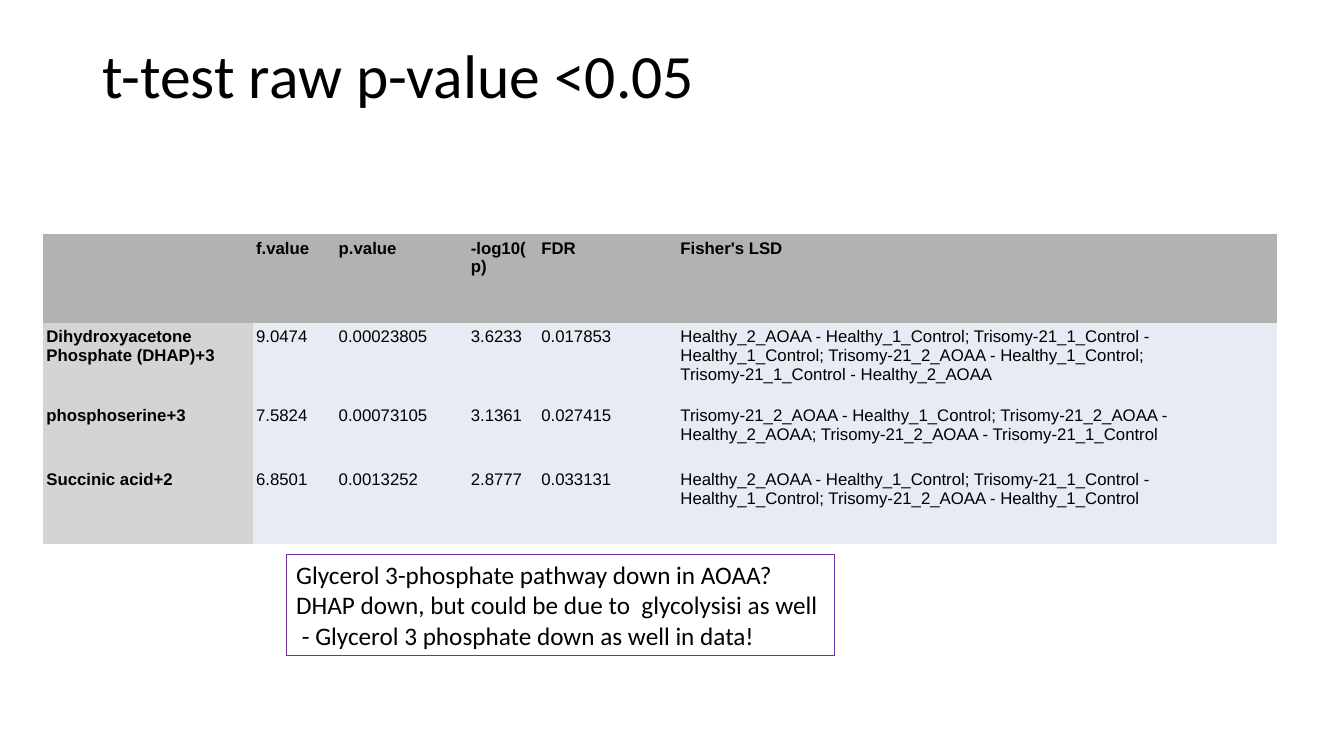
from pptx import Presentation
from pptx.dml.color import RGBColor
from pptx.enum import text
from pptx.oxml import ns
from pptx.util import Inches, Pt

BLACK = RGBColor(0x00, 0x00, 0x00)
HEADER_GREY = RGBColor(0xB0, 0xB3, 0xB2)
NAME_GREY = RGBColor(0xD4, 0xD4, 0xD4)
VALUE_BLUE = RGBColor(0xE8, 0xEB, 0xF4)
PURPLE = RGBColor(0x70, 0x30, 0xA0)

NO_STYLE_NO_GRID = "{2D5ABB26-0587-4C30-8999-92F81FD0307C}"
COLUMN_WIDTHS = (2.08, 0.82, 1.31, 0.7, 1.38, 5.95)
ROW_HEIGHTS = (0.88, 0.78, 0.64, 0.78)
RESULTS = (
    ("", "f.value", "p.value", "-log10(p)", "FDR", "Fisher's LSD"),
    ("Dihydroxyacetone Phosphate (DHAP)+3", "9.0474", "0.00023805", "3.6233", "0.017853",
     "Healthy_2_AOAA - Healthy_1_Control; Trisomy-21_1_Control - Healthy_1_Control; "
     "Trisomy-21_2_AOAA - Healthy_1_Control; Trisomy-21_1_Control - Healthy_2_AOAA"),
    ("phosphoserine+3", "7.5824", "0.00073105", "3.1361", "0.027415",
     "Trisomy-21_2_AOAA - Healthy_1_Control; Trisomy-21_2_AOAA - Healthy_2_AOAA; "
     "Trisomy-21_2_AOAA - Trisomy-21_1_Control"),
    ("Succinic acid+2", "6.8501", "0.0013252", "2.8777", "0.033131",
     "Healthy_2_AOAA - Healthy_1_Control; Trisomy-21_1_Control - Healthy_1_Control; "
     "Trisomy-21_2_AOAA - Healthy_1_Control"),
)
NOTE = (
    "Glycerol 3-phosphate pathway down in AOAA?\n"
    "DHAP down, but could be due to  glycolysisi as well\n"
    " - Glycerol 3 phosphate down as well in data!"
)


def format_runs(text_frame, font_name, size, bold=False):
    """Apply one black font to every run of a text frame."""
    for paragraph in text_frame.paragraphs:
        for run in paragraph.runs:
            run.font.name = font_name
            run.font.size = Pt(size)
            run.font.bold = bold
            run.font.color.rgb = BLACK


def add_text(slide, content, left, top, width, height, size):
    """Add a wrapped, top-anchored Calibri text box and return it."""
    shape = slide.shapes.add_textbox(Inches(left), Inches(top), Inches(width), Inches(height))
    text_frame = shape.text_frame
    text_frame.word_wrap = True
    text_frame.vertical_anchor = text.MSO_ANCHOR.TOP
    text_frame.text = content
    format_runs(text_frame, "Calibri", size)
    return shape


def fill_cell(cell, content, fill_color, bold):
    """Write and colour one table cell."""
    cell.fill.solid()
    cell.fill.fore_color.rgb = fill_color
    cell.margin_left = cell.margin_right = Inches(0.03)
    cell.text_frame.text = content
    format_runs(cell.text_frame, "Arial", 12, bold)


def add_results_table(slide, left, top):
    """Add the borderless table of test results."""
    frame = slide.shapes.add_table(
        len(ROW_HEIGHTS), len(COLUMN_WIDTHS), Inches(left), Inches(top),
        Inches(sum(COLUMN_WIDTHS)), Inches(sum(ROW_HEIGHTS)))
    table = frame.table
    table._tbl.tblPr.find(ns.qn("a:tableStyleId")).text = NO_STYLE_NO_GRID
    table.horz_banding = False
    for column, width in zip(table.columns, COLUMN_WIDTHS):
        column.width = Inches(width)
    for row, height in zip(table.rows, ROW_HEIGHTS):
        row.height = Inches(height)
    for row_index, values in enumerate(RESULTS):
        for column_index, value in enumerate(values):
            if row_index == 0:
                fill_color = HEADER_GREY
            else:
                fill_color = NAME_GREY if column_index == 0 else VALUE_BLUE
            fill_cell(table.cell(row_index, column_index), value, fill_color,
                      bold=fill_color != VALUE_BLUE)


def main():
    """Build the slide and save it."""
    presentation = Presentation()
    presentation.slide_width = Inches(13.33)
    presentation.slide_height = Inches(7.5)
    slide = presentation.slides.add_slide(presentation.slide_layouts[6])

    add_results_table(slide, 0.43, 2.32)
    title = add_text(slide, "t-test raw p-value <0.05", 0.92, 0.4, 11.5, 1.45, 44)
    title.text_frame.paragraphs[0].line_spacing = 0.9
    note = add_text(slide, NOTE, 2.84, 5.5, 5.44, 1, 18)
    note.line.color.rgb = PURPLE
    note.line.width = Pt(0)

    presentation.save("out.pptx")


if __name__ == "__main__":
    main()
